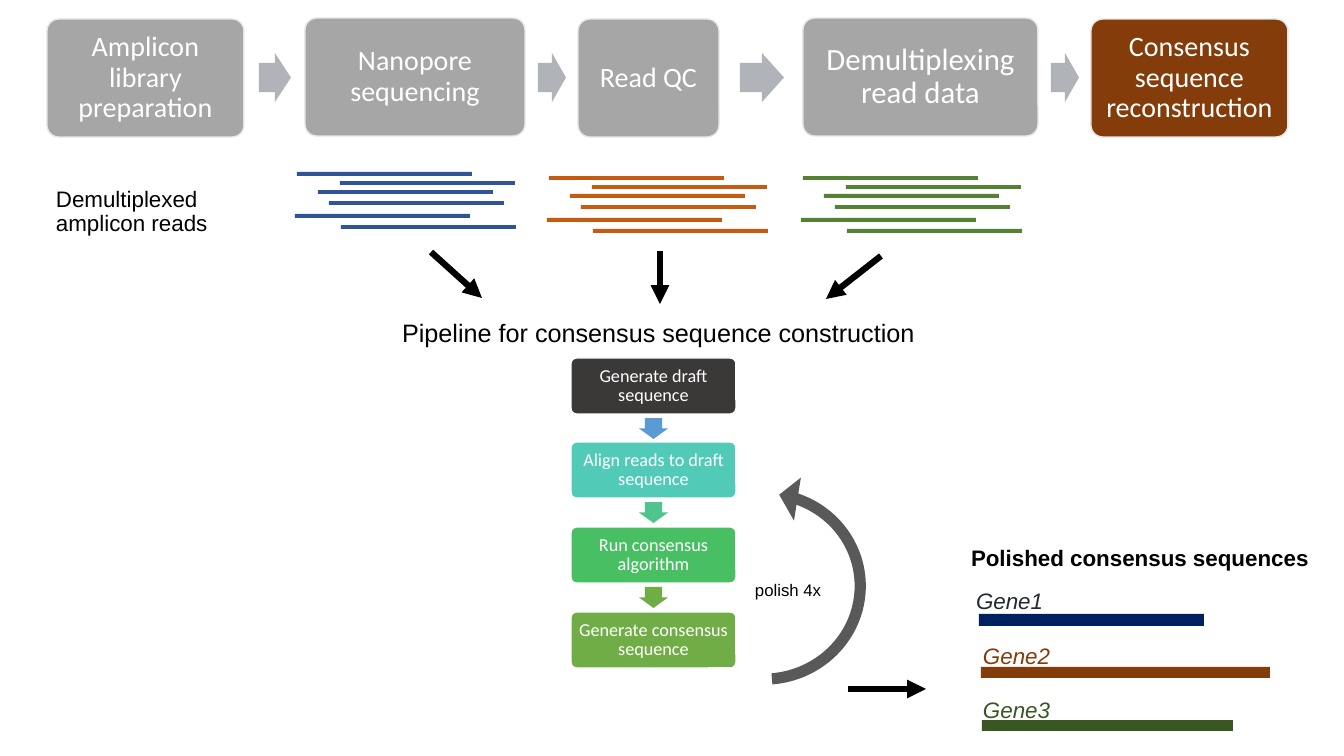
from dataclasses import dataclass

from lxml import etree
from pptx import Presentation
from pptx.dml.color import RGBColor
from pptx.enum.shapes import MSO_CONNECTOR, MSO_SHAPE
from pptx.enum.text import MSO_ANCHOR, PP_ALIGN
from pptx.oxml.ns import qn
from pptx.util import Pt

RECTANGLE = MSO_SHAPE.RECTANGLE
ROUNDED = MSO_SHAPE.ROUNDED_RECTANGLE
RIGHT_ARROW = MSO_SHAPE.RIGHT_ARROW
DOWN_ARROW = MSO_SHAPE.DOWN_ARROW
CIRCULAR_ARROW = MSO_SHAPE.CIRCULAR_ARROW
STRAIGHT = MSO_CONNECTOR.STRAIGHT
MIDDLE = MSO_ANCHOR.MIDDLE
CENTER, LEFT = PP_ALIGN.CENTER, PP_ALIGN.LEFT
EMU_PER_PX = 914400 / 100.8


@dataclass(frozen=True)
class Theme:
    box_font: str = "Calibri"
    label_font: str = "Arial"
    white: str = "FFFFFF"
    black: str = "000000"
    stage: str = "A6A6A6"
    stage_line: str = "E7E6E6"
    stage_arrow: str = "B0B4B9"
    brown: str = "843C0B"
    blue_reads: str = "2F5597"
    orange_reads: str = "C55A11"
    green_reads: str = "548235"
    draft: str = "3B3838"
    align: str = "52CAB8"
    consensus: str = "49BF64"
    final: str = "70AD47"
    draft_arrow: str = "5B9BD5"
    align_arrow: str = "4DC58D"
    loop: str = "595959"
    navy: str = "002060"
    ink: str = "222A35"
    forest: str = "385723"
    stage_size: int = 20
    large_stage_size: int = 22
    step_size: int = 13
    heading_size: int = 18
    label_size: int = 16
    note_size: int = 12
    arrow_width: float = 4.5


def px(value):
    return round(value * EMU_PER_PX)


class Diagram:
    def __init__(self, slide, theme):
        self.slide = slide
        self.theme = theme

    def shape(self, kind, x, y, width, height, fill, line=None, adjustments=()):
        shape = self.slide.shapes.add_shape(kind, px(x), px(y), px(width), px(height))
        shape.shadow.inherit = False
        shape.fill.solid()
        shape.fill.fore_color.rgb = RGBColor.from_string(fill)
        if line:
            shape.line.color.rgb = RGBColor.from_string(line)
            shape.line.width = Pt(1)
        else:
            shape.line.fill.background()
        for index, value in enumerate(adjustments):
            shape.adjustments[index] = value
        return shape

    def set_text(self, shape, text, font, size, color, align, margins, bold=False, italic=False):
        text_frame = shape.text_frame
        text_frame.word_wrap = True
        text_frame.vertical_anchor = MIDDLE
        text_frame.margin_left = text_frame.margin_right = px(margins[0])
        text_frame.margin_top = text_frame.margin_bottom = px(margins[1])
        text_frame.text = text
        paragraph = text_frame.paragraphs[0]
        paragraph.alignment = align
        paragraph.line_spacing = 0.9
        run_font = paragraph.runs[0].font
        run_font.name, run_font.size = font, Pt(size)
        run_font.bold, run_font.italic = bold, italic
        run_font.color.rgb = RGBColor.from_string(color)

    def box(self, x, y, width, height, text, size, fill, line, margin):
        shape = self.shape(ROUNDED, x, y, width, height, fill, line, (0.1,))
        self.set_text(shape, text, self.theme.box_font, size, self.theme.white,
                      CENTER, (margin, margin))

    def block_arrow(self, kind, x, y, width, height, fill):
        self.shape(kind, x, y, width, height, fill, adjustments=(0.6, 0.5))

    def label(self, x, center_y, width, height, text, size, color=None, **emphasis):
        shape = self.slide.shapes.add_textbox(
            px(x), px(center_y - height / 2), px(width), px(height))
        self.set_text(shape, text, self.theme.label_font, size,
                      color or self.theme.black, LEFT, (10, 5), **emphasis)

    def reads(self, x, y, color):
        offsets = ((0, 0), (43, 9), (21, 18), (32, 29), (-2, 42), (44, 53))
        for offset_x, offset_y in offsets:
            self.shape(RECTANGLE, x + offset_x, y + offset_y, 175, 4, color)

    def arrow(self, start_x, start_y, end_x, end_y):
        connector = self.slide.shapes.add_connector(
            STRAIGHT, px(start_x), px(start_y), px(end_x), px(end_y))
        connector.line.color.rgb = RGBColor.from_string(self.theme.black)
        connector.line.width = Pt(self.theme.arrow_width)
        properties = connector.element.spPr
        etree.SubElement(properties.find(qn("a:ln")), qn("a:tailEnd"), type="triangle")
        etree.SubElement(properties, qn("a:effectLst"))

    def polish_loop(self, x, y, width, height):
        shape = self.shape(CIRCULAR_ARROW, x, y, width, height, self.theme.loop,
                           adjustments=(0.049, 6.933, 200.832, 108, 0.095))
        shape.rotation = 265.4
        shape.element.spPr.find(qn("a:xfrm")).set("flipV", "1")


def main():
    theme = Theme()
    presentation = Presentation()
    presentation.slide_width, presentation.slide_height = px(1344), px(756)
    slide = presentation.slides.add_slide(presentation.slide_layouts[6])
    diagram = Diagram(slide, theme)

    stages = (
        (47, 19, 197, "Amplicon library preparation", theme.stage_size, theme.stage),
        (305, 18, 220, "Nanopore sequencing", theme.stage_size, theme.stage),
        (578, 19, 141, "Read QC", theme.stage_size, theme.stage),
        (803, 18, 235, "Demultiplexing read data", theme.large_stage_size, theme.stage),
        (1091, 19, 197, "Consensus sequence reconstruction", theme.stage_size, theme.brown),
    )
    for x, y, width, text, size, fill in stages:
        diagram.box(x, y, width, 118, text, size, fill, theme.stage_line, 11)
    for x, width in ((259, 32), (538, 28), (740, 44), (1051, 28)):
        diagram.block_arrow(RIGHT_ARROW, x, 53, width, 49, theme.stage_arrow)

    diagram.label(46, 212, 200, 60, "Demultiplexed amplicon reads", theme.label_size)
    diagram.reads(297, 172, theme.blue_reads)
    diagram.reads(549, 176, theme.orange_reads)
    diagram.reads(803, 176, theme.green_reads)

    for ends in ((431, 252, 482, 298), (660, 251, 660, 304),
                 (881, 256, 826, 299), (848, 689, 926, 689)):
        diagram.arrow(*ends)

    diagram.label(392, 334, 560, 36, "Pipeline for consensus sequence construction",
                  theme.heading_size)
    steps = (
        ("Generate draft sequence", theme.draft, theme.draft_arrow),
        ("Align reads to draft sequence", theme.align, theme.align_arrow),
        ("Run consensus algorithm", theme.consensus, theme.final),
        ("Generate consensus sequence", theme.final, None),
    )
    for index, (text, fill, arrow_fill) in enumerate(steps):
        y = 358 + index * 254 // 3
        diagram.box(571, y, 165, 56, text, theme.step_size, fill, theme.white, 6)
        if arrow_fill:
            diagram.block_arrow(DOWN_ARROW, 639, y + 60, 29, 21, arrow_fill)
    diagram.polish_loop(650, 469, 229, 235)
    diagram.label(745, 591, 100, 30, "polish 4x", theme.note_size)

    diagram.label(961, 559, 370, 38, "Polished consensus sequences", theme.label_size, bold=True)
    genes = (
        ("Gene1", 966, 602, theme.ink, 979, 614, 225, 12, theme.navy),
        ("Gene2", 973, 657, theme.brown, 981, 667, 289, 11, theme.brown),
        ("Gene3", 973, 711, theme.forest, 982, 720, 251, 11, theme.forest),
    )
    for name, label_x, center_y, color, x, y, width, height, fill in genes:
        diagram.shape(RECTANGLE, x, y, width, height, fill)
        diagram.label(label_x, center_y, 99, 33, name, theme.label_size, color, italic=True)

    presentation.save("out.pptx")


if __name__ == "__main__":
    main()
